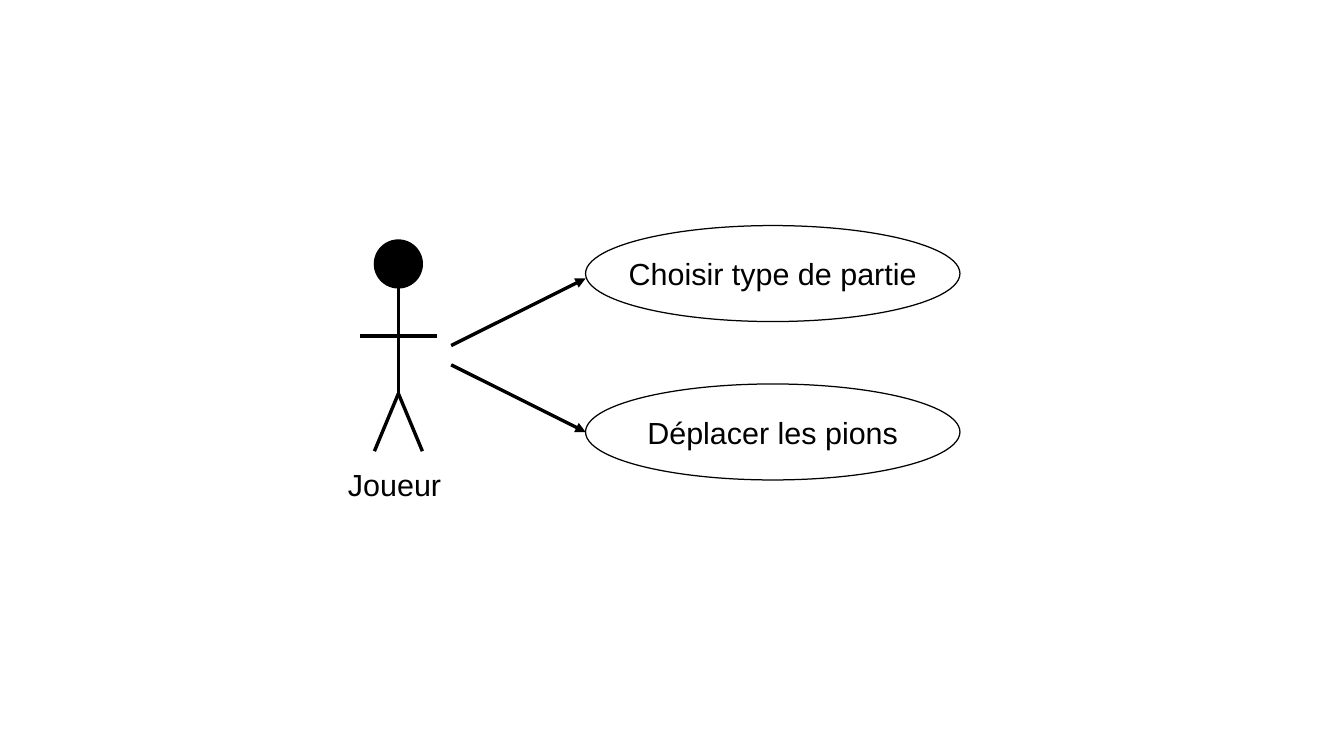
import pptx
import pptx.util
import pptx.dml.color
import pptx.enum.shapes
import pptx.enum.text
import pptx.oxml.ns
import lxml.etree
from dataclasses import dataclass


@dataclass(frozen=True)
class Theme:
    ink: str = "000000"
    font: str = "Arial"
    size: int = 18
    line: int = 0  # hairline


THEME = Theme()
OVAL = pptx.enum.shapes.MSO_SHAPE.OVAL
ALIGN = pptx.enum.text.PP_ALIGN
# All lengths are counted in grid cells of one centimetre
COLS, ROWS = 28, 15.75


def cell(n):
    return pptx.util.Cm(n)


def ink():
    return pptx.dml.color.RGBColor.from_string(THEME.ink)


def trim(line):
    line.color.rgb = ink()
    line.width = pptx.util.Pt(THEME.line)


def write(frame, text, align):
    frame.vertical_anchor = pptx.enum.text.MSO_ANCHOR.MIDDLE
    par = frame.paragraphs[0]
    par.alignment = align
    run = par.add_run()
    run.text = text
    run.font.name = THEME.font
    run.font.size = pptx.util.Pt(THEME.size)
    run.font.color.rgb = ink()


def oval(slide, left, top, wide, high, solid=False):
    shape = slide.shapes.add_shape(OVAL, *map(cell, (left, top, wide, high)))
    shape.shadow.inherit = False
    if solid:
        shape.fill.solid()
        shape.fill.fore_color.rgb = ink()
    else:
        shape.fill.background()
    trim(shape.line)
    return shape


def link(slide, start, end, arrow=False):
    kind = pptx.enum.shapes.MSO_CONNECTOR.STRAIGHT
    line = slide.shapes.add_connector(kind, *map(cell, (*start, *end)))
    trim(line.line)
    name = pptx.oxml.ns.qn
    if arrow:
        edge = line.line._get_or_add_ln()
        lxml.etree.SubElement(edge, name("a:tailEnd"), type="triangle")
    lxml.etree.SubElement(line._element.spPr, name("a:effectLst"))


def actor(slide, left, top, wide, high, text):
    """Stick figure with its name below."""
    mid, head, name = left + wide / 2, 1, 1
    neck, arm, hip = top + head, top + 2 * head, top + 3.2
    foot = top + high

    # Head and body
    oval(slide, mid - head / 2, top, head, head, solid=True)
    link(slide, (mid, neck), (mid, hip))
    link(slide, (left, arm), (left + wide, arm))
    for side in (-0.5, 0.5):
        link(slide, (mid, hip), (mid + side, foot))

    # Name
    box = slide.shapes.add_textbox(*map(cell, (left - 0.5, foot + 0.2, 2.6, name)))
    box.text_frame.word_wrap = True
    write(box.text_frame, text, ALIGN.LEFT)


def case(slide, left, top, wide, high, text):
    """One use case: a named oval."""
    shape = oval(slide, left, top, wide, high)
    shape.text_frame.word_wrap = False
    write(shape.text_frame, text, ALIGN.CENTER)


def cases(slide, left, top, wide, high, names):
    """Column of use cases, each with an arrow from the actor."""
    tall, reach, rise = 2, 2.8, 1.4
    step = (high - tall) / (len(names) - 1)
    for row, name in enumerate(names):
        y = top + row * step
        case(slide, left, y, wide, tall, name)
        # Arrows fan out from the actor, upward then downward
        tip = (5.8, 9)[row]
        tail = tip + (rise, -rise)[row]
        link(slide, (left - reach, tail), (left, tip), arrow=True)


def main():
    deck = pptx.Presentation()
    deck.slide_width, deck.slide_height = cell(COLS), cell(ROWS)
    slide = deck.slides.add_slide(deck.slide_layouts[6])
    actor(slide, 7.5, 5, 1.6, 4.4, "Joueur")
    cases(slide, 12.2, 4.7, 7.8, 5.3,
          ("Choisir type de partie", "Déplacer les pions"))
    deck.save("out.pptx")


if __name__ == "__main__":
    main()
